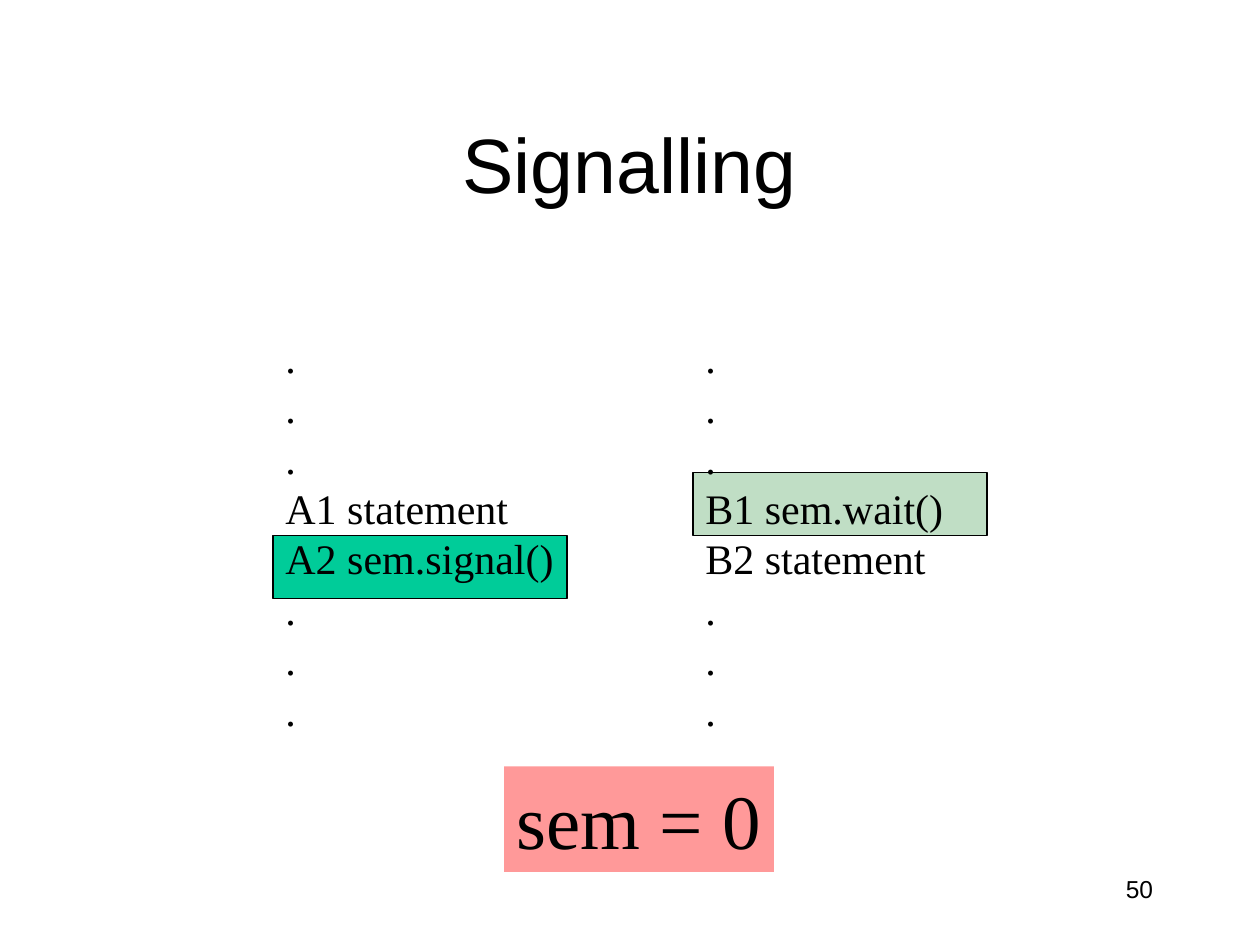
import pptx
import pptx.util
import pptx.dml.color
import pptx.enum.text
import pptx.enum.shapes
from dataclasses import dataclass

Pt = pptx.util.Pt
Align = pptx.enum.text.PP_ALIGN
Anchor = pptx.enum.text.MSO_ANCHOR


@dataclass(frozen=True)
class Theme:
    """Hold the colours, fonts and type sizes of the slide."""
    ink: str = "000000"
    signal: str = "00CC99"
    wait: str = "C0DEC5"
    value: str = "FF9999"
    sans: str = "Arial"
    serif: str = "Times New Roman"
    big: int = 44
    code: int = 24
    small: int = 14
    pitch: float = 1.2


THEME = Theme()


def tint(code):
    """Turn a hex code into a colour."""
    return pptx.dml.color.RGBColor.from_string(code)


def place(shape, left, top, width, height):
    """Move and size a shape in points."""
    box = {"left": left, "top": top, "width": width, "height": height}
    for name, size in box.items():
        setattr(shape, name, Pt(size))


def write(shape, lines, face, size, align=Align.LEFT, space=None, **frame):
    """Fill a shape with one formatted paragraph per line."""
    text = shape.text_frame
    for name, value in frame.items():
        setattr(text, name, value)
    text.text = "\n".join(lines)
    for para in text.paragraphs:
        para.alignment = align
        if space:
            para.line_spacing = space
        for name, value in {"name": face, "size": Pt(size)}.items():
            setattr(para.font, name, value)
        para.font.color.rgb = tint(THEME.ink)


def bar(slide, spot, fill, edge=True):
    """Add a filled rectangle, with or without an outline."""
    kind = pptx.enum.shapes.MSO_SHAPE.RECTANGLE
    shape = slide.shapes.add_shape(kind, *map(Pt, spot))
    shape.shadow.inherit = False
    shape.fill.solid()
    shape.fill.fore_color.rgb = tint(fill)
    if edge:
        shape.line.color.rgb = tint(THEME.ink)
        shape.line.width = Pt(0.75)
    else:
        shape.line.fill.background()
    return shape


def thread(slide, left, width, steps):
    """Add a column of code steps between dots."""
    box = slide.shapes.add_textbox(*map(Pt, (left, 185.8, width, 237.6)))
    dots = ["."] * 3
    write(box, dots + steps + dots, THEME.serif, THEME.code,
          space=Pt(THEME.code * THEME.pitch), word_wrap=False)


def title(slide, words):
    """Set the slide title."""
    shape = slide.shapes.title
    place(shape, 54, 36.7, 611.3, 112.3)
    write(shape, [words], THEME.sans, THEME.big, Align.CENTER,
          vertical_anchor=Anchor.MIDDLE, margin_left=0, margin_right=0,
          margin_top=0, margin_bottom=0)


def value(slide, words):
    """Add the box with the value of the semaphore."""
    shape = bar(slide, (288, 437.9, 154.3, 60.3), THEME.value, edge=False)
    write(shape, [words], THEME.serif, THEME.big,
          space=Pt(THEME.big * THEME.pitch), word_wrap=False,
          vertical_anchor=Anchor.TOP)


def number(slide, words):
    """Add the slide number."""
    box = slide.shapes.add_textbox(*map(Pt, (516, 492, 150, 35)))
    write(box, [words], THEME.sans, THEME.small, Align.RIGHT, 1.24,
          word_wrap=True)


def main():
    """Build and save the slide."""
    deck = pptx.Presentation()
    deck.slide_width, deck.slide_height = Pt(720), Pt(540)
    slide = deck.slides.add_slide(deck.slide_layouts[5])
    title(slide, "Signalling")
    bar(slide, (156, 306, 168, 36), THEME.signal)
    thread(slide, 156, 168, ["A1 statement", "A2 sem.signal()"])
    bar(slide, (396, 270, 168, 36), THEME.wait)
    thread(slide, 396, 150.5, ["B1 sem.wait()", "B2 statement"])
    value(slide, "sem = 0")
    number(slide, "50")
    deck.save("out.pptx")


if __name__ == "__main__":
    main()
